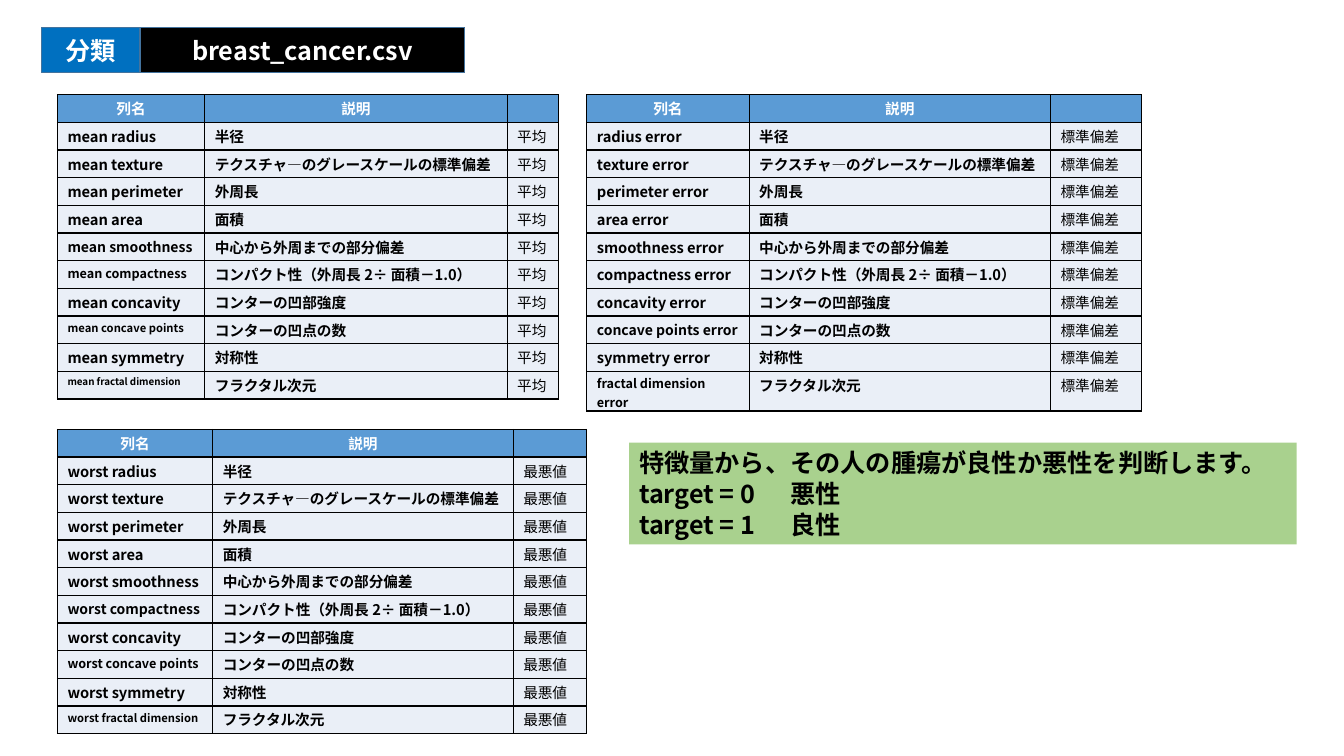
from dataclasses import dataclass

from lxml.etree import SubElement
from pptx import Presentation
from pptx.dml.color import RGBColor
from pptx.enum.shapes import MSO_SHAPE
from pptx.enum.text import MSO_ANCHOR, PP_ALIGN
from pptx.oxml.ns import qn
from pptx.util import Inches, Pt


@dataclass(frozen=True)
class Theme:
    """Colours, font and type sizes of the slide."""
    font: str = "Noto Sans CJK JP"
    black: str = "000000"
    white: str = "FFFFFF"
    tag_blue: str = "0070C0"
    outline_blue: str = "43739E"
    header_blue: str = "5B9BD5"
    body_blue: str = "EAEFF7"
    note_green: str = "A9D18E"
    title_size: float = 18
    note_spacing: float = 21.8
    table_size: float = 10.5


def write_text(frame, text, *, font, size, color, bold=True,
               align=PP_ALIGN.LEFT, spacing=None):
    """Fill a text frame, one paragraph for each line of the text."""
    frame.word_wrap = True
    for index, line in enumerate(text.split("\n")):
        paragraph = frame.add_paragraph() if index else frame.paragraphs[0]
        paragraph.alignment = align
        if spacing:
            paragraph.line_spacing = Pt(spacing)
        if not line:
            SubElement(paragraph._p, qn("a:endParaRPr"), sz=str(int(size * 100)))
            continue
        run = paragraph.add_run()
        run.text = line
        run.font.name = font
        run.font.size = Pt(size)
        run.font.bold = bold
        run.font.color.rgb = RGBColor.from_string(color)
        SubElement(run._r.get_or_add_rPr(), qn("a:ea"), typeface=font)


def add_borders(cell, color):
    """Draw a one-point line on the four sides of a cell."""
    for side in ("lnL", "lnR", "lnT", "lnB"):
        line = SubElement(cell._tc.get_or_add_tcPr(), qn(f"a:{side}"), w=str(Pt(1)))
        fill = SubElement(line, qn("a:solidFill"))
        SubElement(fill, qn("a:srgbClr"), val=color)


class SlideBuilder:
    """Places elements on a slide; a grid unit is a tenth of an inch."""

    def __init__(self, slide, theme):
        """Keep the current slide and its style."""
        self.slide = slide
        self.theme = theme

    @staticmethod
    def grid(*units):
        """Turn grid columns or rows into lengths."""
        return [Inches(unit / 10) for unit in units]

    def box(self, text, area, fill, *, line=None, anchor=MSO_ANCHOR.MIDDLE, **style):
        """Add a filled rectangle with text."""
        shape = self.slide.shapes.add_shape(MSO_SHAPE.RECTANGLE, *self.grid(*area))
        shape.shadow.inherit = False
        shape.fill.solid()
        shape.fill.fore_color.rgb = RGBColor.from_string(fill)
        if line:
            shape.line.color.rgb = RGBColor.from_string(line)
            shape.line.width = Pt(1)
        else:
            shape.line.fill.background()
        shape.text_frame.vertical_anchor = anchor
        write_text(shape.text_frame, text, font=self.theme.font,
                   size=self.theme.title_size, **style)

    def cell(self, cell, text, fill, **style):
        """Format one table cell and write its text."""
        cell.margin_top, cell.margin_bottom = self.grid(0.3, 0)
        add_borders(cell, self.theme.black)
        cell.fill.solid()
        cell.fill.fore_color.rgb = RGBColor.from_string(fill)
        style = {"size": self.theme.table_size, **style}
        write_text(cell.text_frame, text, font=self.theme.font, **style)

    def feature_table(self, left, top, widths, statistic, name_format, name_sizes):
        """Add the table of all features for one statistic."""
        theme = self.theme
        row_count = len(FEATURES) + 1
        area = self.grid(left, top, sum(widths), TABLE_HEIGHT)
        table = self.slide.shapes.add_table(row_count, len(widths), *area).table
        table.first_row = table.horz_banding = False
        for column, width in zip(table.columns, self.grid(*widths)):
            column.width = width
        for row in table.rows:
            row.height = Inches(TABLE_HEIGHT / 10 / row_count)
        for index, heading in enumerate(("列名", "説明", "")):
            self.cell(table.cell(0, index), heading, theme.header_blue,
                      color=theme.white, align=PP_ALIGN.CENTER)
        for index, (feature, description) in enumerate(FEATURES.items(), start=1):
            values = (name_format.format(feature), description, statistic)
            sizes = (name_sizes.get(feature, theme.table_size),) + (theme.table_size,) * 2
            for column, (value, size) in enumerate(zip(values, sizes)):
                self.cell(table.cell(index, column), value, theme.body_blue,
                          color=theme.black, size=size, bold=column < 2)


FEATURES = {
    "radius": "半径",
    "texture": "テクスチャ―のグレースケールの標準偏差",
    "perimeter": "外周長",
    "area": "面積",
    "smoothness": "中心から外周までの部分偏差",
    "compactness": "コンパクト性（外周長 2÷ 面積－1.0）",
    "concavity": "コンターの凹部強度",
    "concave points": "コンターの凹点の数",
    "symmetry": "対称性",
    "fractal dimension": "フラクタル次元",
}
TABLE_HEIGHT = 30.2
LEFT, RIGHT = 5.7, 58.2
UPPER, LOWER = 9.4, 42.6
TABLES = (
    (LEFT, UPPER, (14.6, 30, 5.1), "平均", "mean {}",
     {"smoothness": 10, "compactness": 9, "concave points": 8, "fractal dimension": 7}),
    (RIGHT, UPPER, (16.1, 29.9, 9), "標準偏差", "{} error",
     {"concave points": 10, "fractal dimension": 9}),
    (LEFT, LOWER, (15.4, 29.8, 7.3), "最悪値", "worst {}",
     {"compactness": 10, "concave points": 9, "fractal dimension": 8}),
)
NOTE = "特徴量から、その人の腫瘍が良性か悪性を判断します。\ntarget = 0\t悪性\ntarget = 1\t良性"


def main():
    """Build the slide and save it."""
    presentation = Presentation()
    presentation.slide_width, presentation.slide_height = Inches(13.33), Inches(7.5)
    theme = Theme()
    builder = SlideBuilder(
        presentation.slides.add_slide(presentation.slide_layouts[6]), theme)
    title_style = {"line": theme.outline_blue, "color": theme.white,
                   "align": PP_ALIGN.CENTER}
    builder.box("breast_cancer.csv", (13.9, 2.7, 32.2, 4.5), theme.black, **title_style)
    builder.box("分類", (4.1, 2.7, 9.8, 4.5), theme.tag_blue, **title_style)
    for table in TABLES:
        builder.feature_table(*table)
    builder.box(NOTE, (62.4, 43.9, 66.2, 10.1), theme.note_green, anchor=MSO_ANCHOR.TOP,
                color=theme.black, spacing=theme.note_spacing)
    presentation.save("out.pptx")


main()
